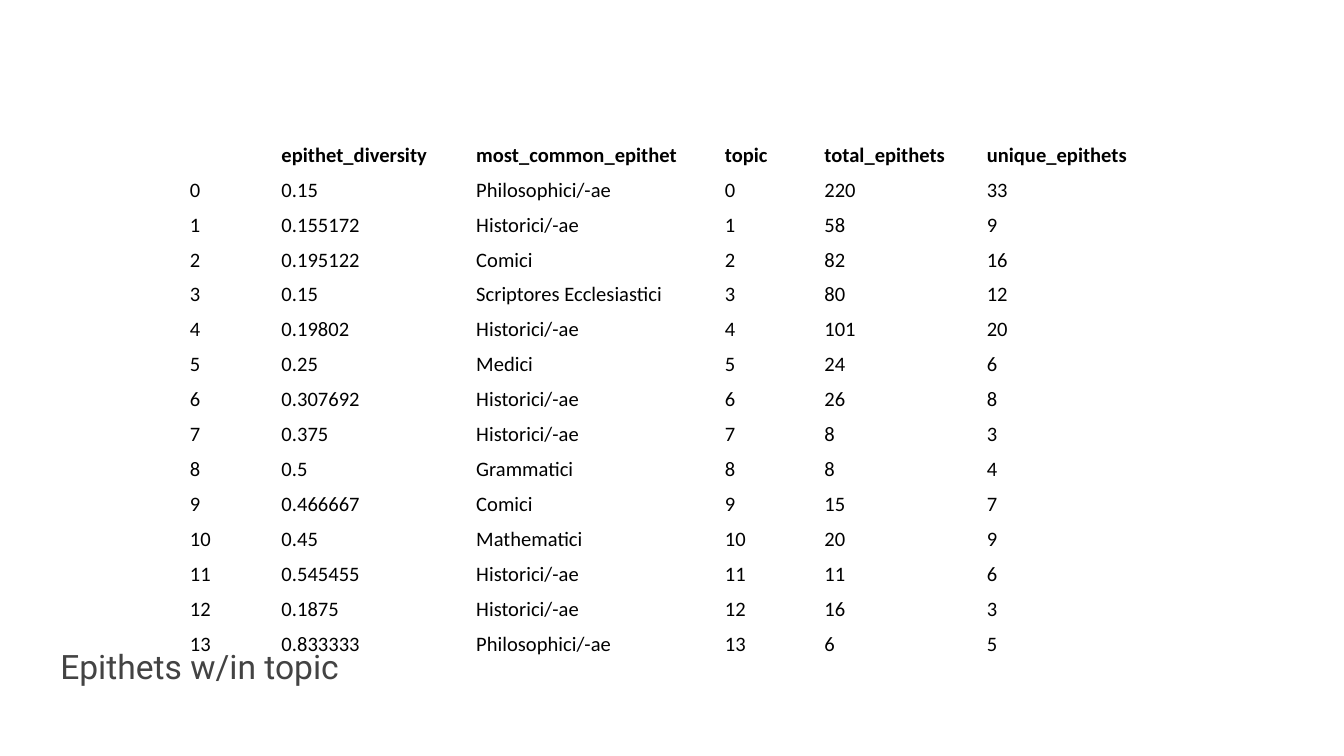
from lxml import etree
from pptx import Presentation
from pptx.dml.color import RGBColor
from pptx.enum.text import MSO_ANCHOR, PP_ALIGN
from pptx.oxml.ns import qn
from pptx.util import Cm, Pt

LEFT = PP_ALIGN.LEFT
MIDDLE, BOTTOM = MSO_ANCHOR.MIDDLE, MSO_ANCHOR.BOTTOM
BLACK = RGBColor(0x00, 0x00, 0x00)
GREY = RGBColor(0x43, 0x43, 0x43)
WHITE = RGBColor(0xFF, 0xFF, 0xFF)

TITLE = "Epithets w/in topic"
HEAD = ["", "epithet_diversity", "most_common_epithet", "topic",
        "total_epithets", "unique_epithets"]
# diversity, most common epithet, total, unique; the row number is the topic
TOPICS = [
    ("0.15", "Philosophici/-ae", 220, 33),
    ("0.155172", "Historici/-ae", 58, 9),
    ("0.195122", "Comici", 82, 16),
    ("0.15", "Scriptores Ecclesiastici", 80, 12),
    ("0.19802", "Historici/-ae", 101, 20),
    ("0.25", "Medici", 24, 6),
    ("0.307692", "Historici/-ae", 26, 8),
    ("0.375", "Historici/-ae", 8, 3),
    ("0.5", "Grammatici", 8, 4),
    ("0.466667", "Comici", 15, 7),
    ("0.45", "Mathematici", 20, 9),
    ("0.545455", "Historici/-ae", 11, 6),
    ("0.1875", "Historici/-ae", 16, 3),
    ("0.833333", "Philosophici/-ae", 6, 5),
]
WIDTHS = [1.73, 3.68, 4.7, 1.88, 3.07, 3.38]
HEAD_H, ROW_H = 0.84, 0.58


def write(frame, text, font="Calibri", size=11, color=BLACK, bold=False,
          spacing=None):
    para = frame.paragraphs[0]
    para.alignment = LEFT
    if spacing:
        para.line_spacing = spacing
    if not text:
        # An empty paragraph takes its height from its end mark
        end = etree.SubElement(para._p, qn("a:endParaRPr"))
        end.set("sz", str(size * 100))
        return
    run = para.add_run()
    run.text = text
    run.font.name = font
    run.font.size = Pt(size)
    run.font.bold = bold
    run.font.color.rgb = color


def add_grid(slide):
    rows = [HEAD] + [[n, share, name, n, total, unique]
                     for n, (share, name, total, unique) in enumerate(TOPICS)]
    height = HEAD_H + ROW_H * len(TOPICS)
    grid = slide.shapes.add_table(len(rows), len(HEAD), Cm(3.51), Cm(2.39),
                                  Cm(sum(WIDTHS)), Cm(height)).table
    grid.first_row = grid.horz_banding = False
    for col, width in zip(grid.columns, WIDTHS):
        col.width = Cm(width)
    for r, row in enumerate(rows):
        grid.rows[r].height = Cm(ROW_H if r else HEAD_H)
        for c, value in enumerate(row):
            cell = grid.cell(r, c)
            cell.fill.solid()
            cell.fill.fore_color.rgb = WHITE
            cell.vertical_anchor = BOTTOM
            cell.margin_left = cell.margin_right = Cm(0.08)
            cell.margin_top, cell.margin_bottom = Cm(0.05), Cm(0.06)
            write(cell.text_frame, str(value), bold=r == 0, spacing=1.15)


def set_title(slide):
    title = slide.shapes.title
    title.left, title.top = Cm(0.89), Cm(11.76)
    title.width, title.height = Cm(16.66), Cm(1.65)
    frame = title.text_frame
    frame.word_wrap = True
    frame.vertical_anchor = MIDDLE
    frame.margin_left = frame.margin_right = Cm(0.25)
    frame.margin_top = frame.margin_bottom = Cm(0.25)
    write(frame, TITLE, font="Roboto", size=18, color=GREY)
    # Bring the title in front of the table's white cells
    slide.shapes._spTree.append(title._element)


def main():
    deck = Presentation()
    deck.slide_width, deck.slide_height = Cm(25.4), Cm(14.29)
    slide = deck.slides.add_slide(deck.slide_layouts[5])
    add_grid(slide)
    set_title(slide)
    deck.save("out.pptx")


if __name__ == "__main__":
    main()
